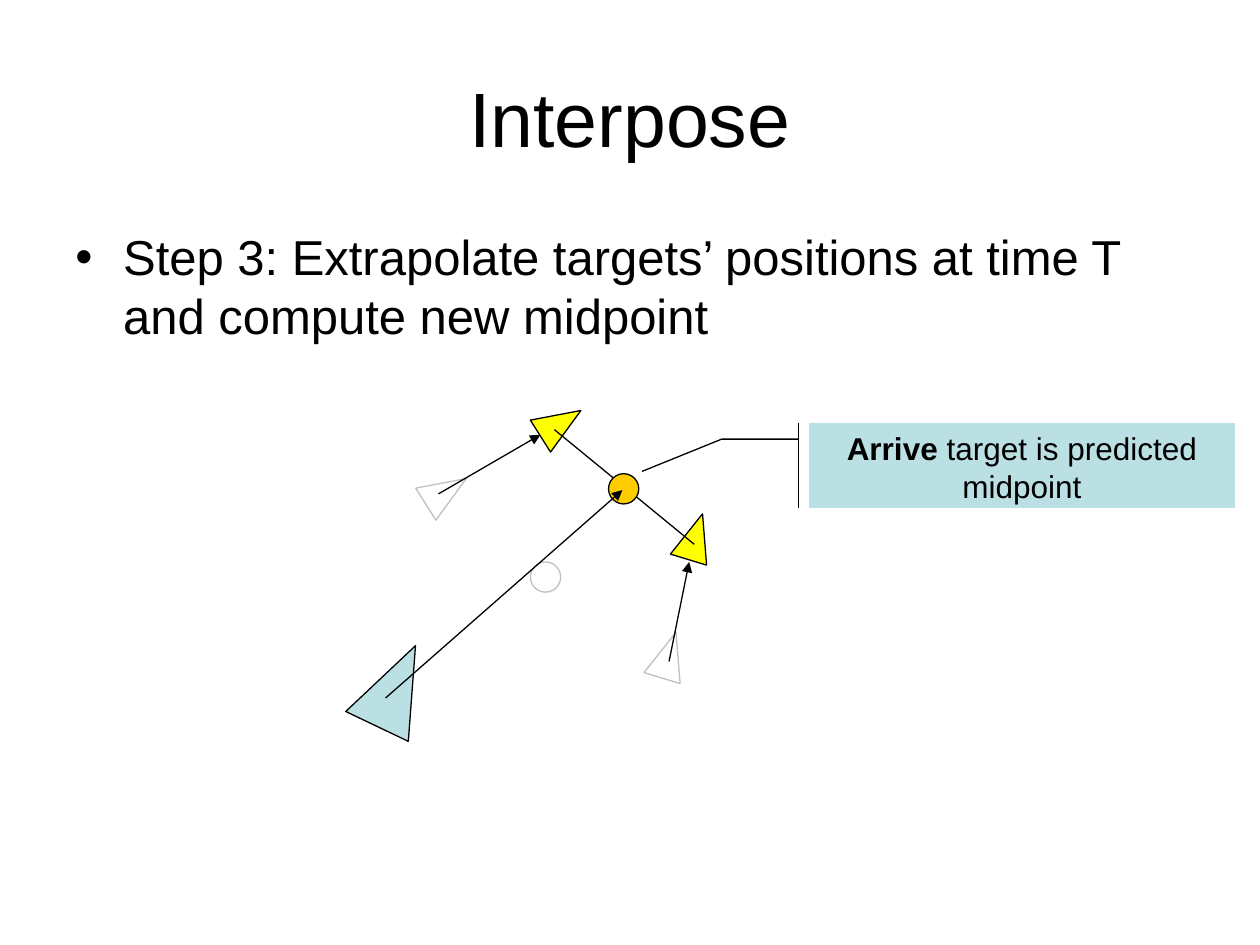
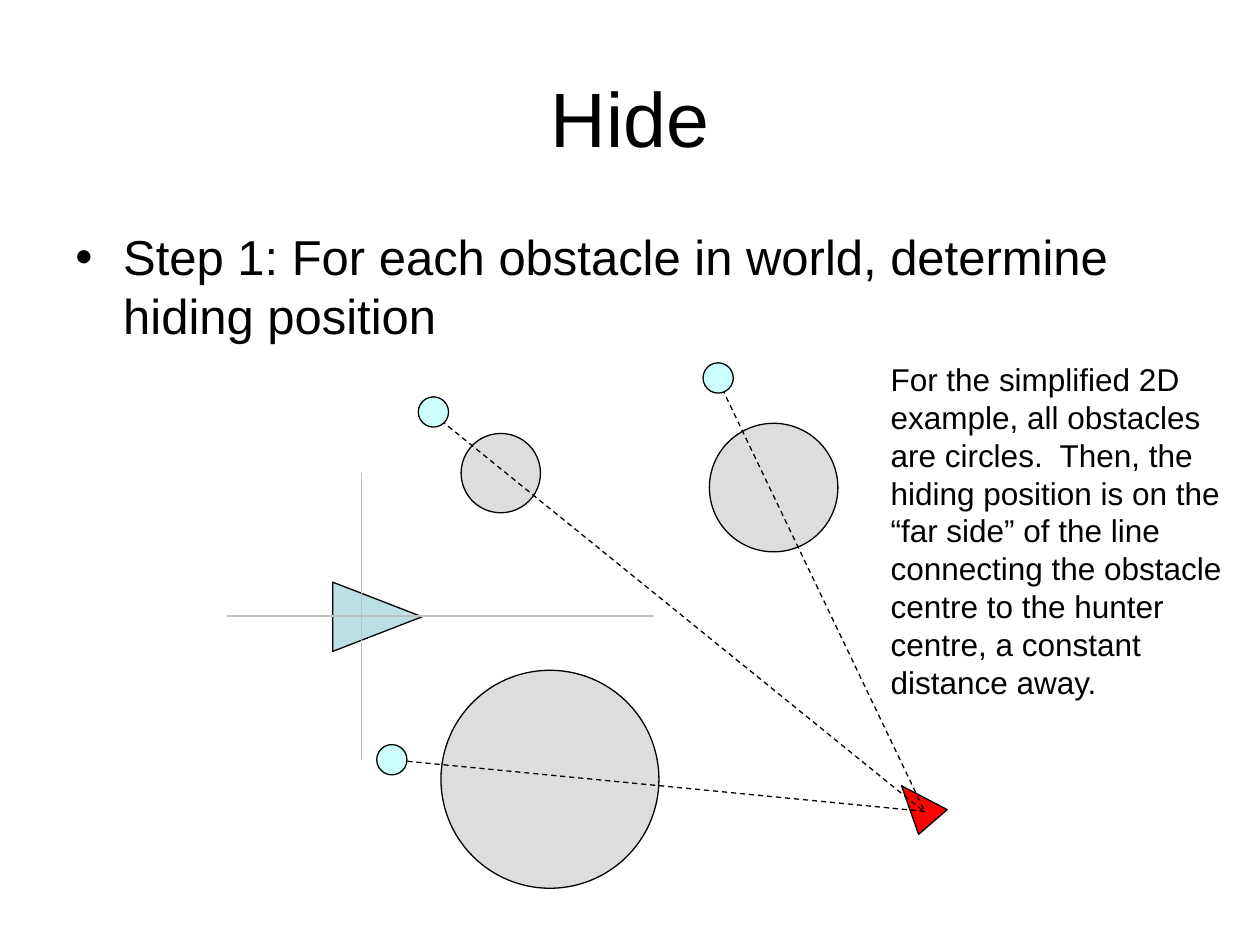
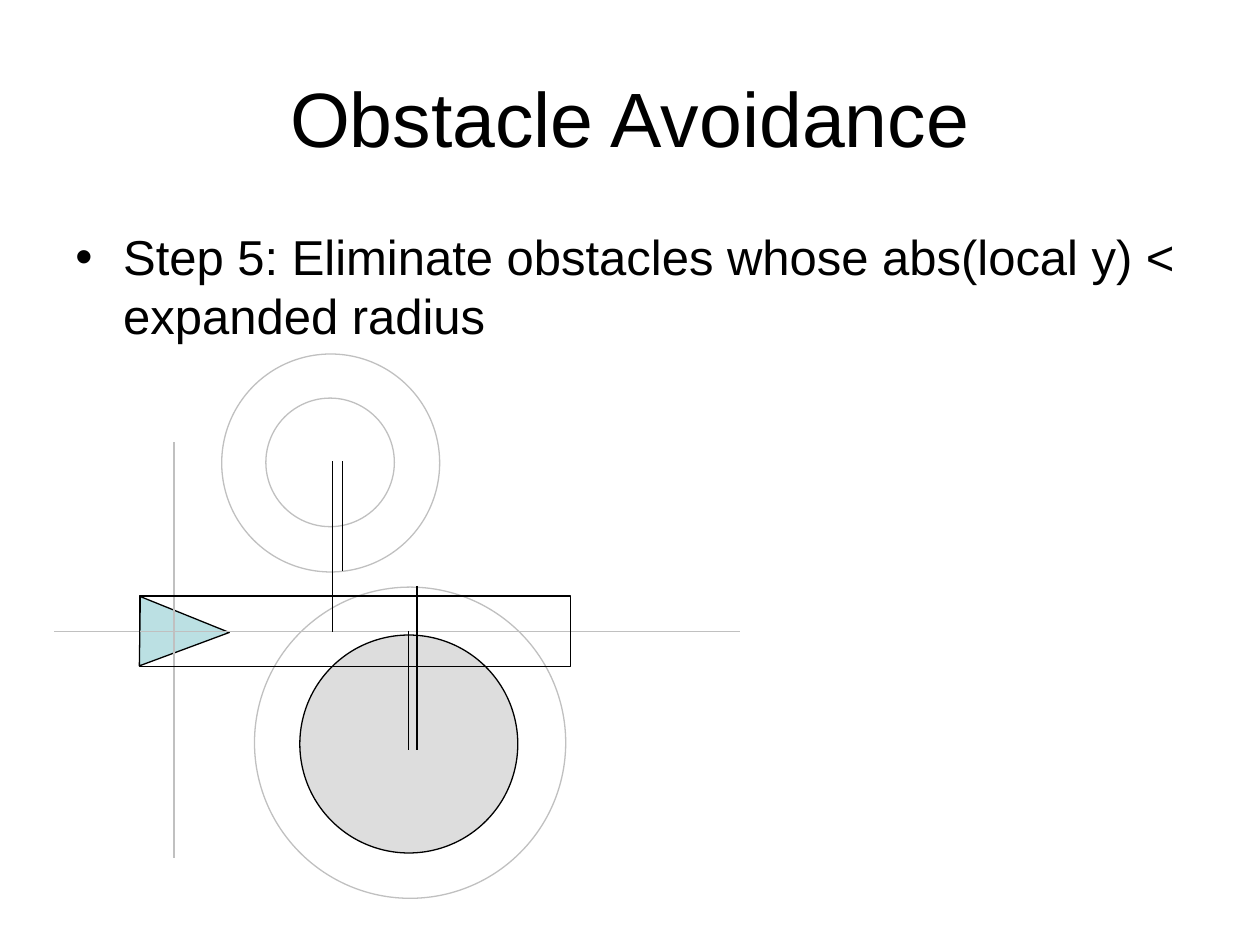
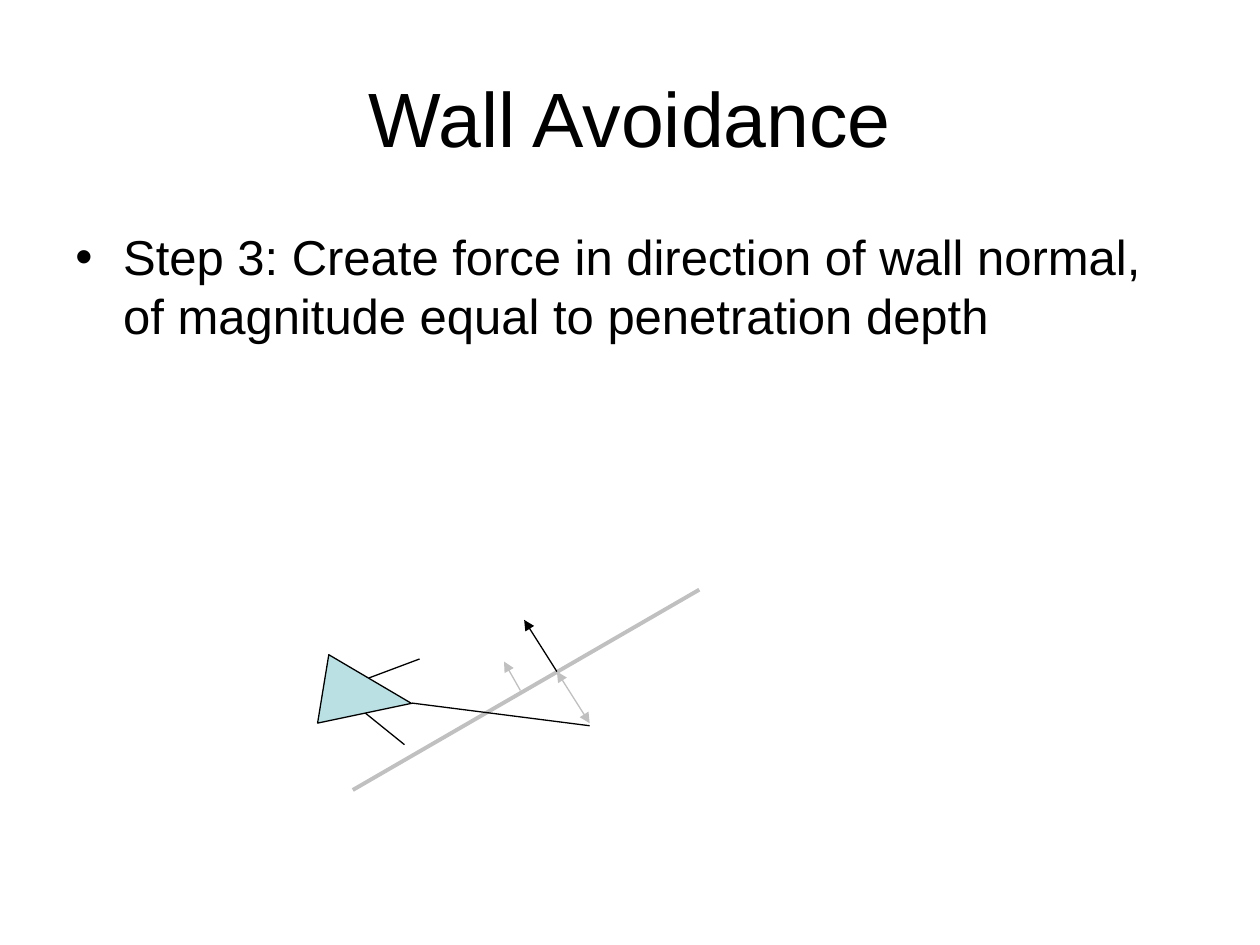
from dataclasses import dataclass

from pptx import Presentation
from pptx.dml.color import RGBColor
from pptx.enum.dml import MSO_LINE_DASH_STYLE as Dash
from pptx.enum.shapes import MSO_CONNECTOR as Connector, MSO_SHAPE as Shape
from pptx.enum.text import MSO_ANCHOR as Anchor, MSO_AUTO_SIZE as AutoSize, PP_ALIGN as Align
from pptx.oxml.ns import qn
from pptx.util import Inches, Pt
from lxml.etree import SubElement


@dataclass(frozen=True)
class Theme:
    font: str = "Arial"
    title_size: int = 44
    body_size: int = 28
    note_size: int = 18
    thin: float = 0.75
    thick: float = 2.25
    black: str = "000000"
    white: str = "FFFFFF"
    ghost: str = "C0C0C0"
    agent: str = "BBE0E3"
    target: str = "FFFF00"
    midpoint: str = "FFCC00"
    hunter: str = "FF0000"
    obstacle: str = "DDDDDD"
    hiding_spot: str = "CCFFFF"


THEME = Theme()
AGENT_SIZE = (0.55, 0.71)
MARKER_SIZE = (0.3, 0.38)
DOT = 0.24
TITLE_BOX = (0.5, 0.3, 9, 1.25)
BODY_BOX = (0.5, 1.75, 9, 4.95)


# Formatting helpers
def set_values(item, values):
    for name, value in values.items():
        setattr(item, name, value)


def move(shape, box):
    names = ("left", "top", "width", "height")
    set_values(shape, dict(zip(names, map(Inches, box))))


def add_text(paragraph, text, size, bold=False):
    run = paragraph.add_run()
    run.text = text
    set_values(run.font, {"name": THEME.font, "size": Pt(size), "bold": bold})
    run.font.color.rgb = RGBColor.from_string(THEME.black)


def space_before(paragraph, percent):
    spacing = SubElement(paragraph._p.get_or_add_pPr(), qn("a:spcBef"))
    SubElement(spacing, qn("a:spcPct"), val=str(percent * 1000))


def add_bullet(paragraph, indent):
    properties = paragraph._p.get_or_add_pPr()
    properties.set("marL", str(Inches(indent)))
    properties.set("indent", str(-Inches(indent)))
    SubElement(properties, qn("a:buFont"), typeface=THEME.font)
    SubElement(properties, qn("a:buChar"), char="•")


class Diagram:
    """Draws on a shape collection, measuring from the box's top left corner."""

    def __init__(self, shapes, left, top):
        self.shapes, self.left, self.top = shapes, left, top

    def group(self):
        return Diagram(self.shapes.add_group_shape().shapes, self.left, self.top)

    def place(self, x, y):
        return Inches(self.left + x), Inches(self.top + y)

    def shape(self, kind, x, y, size, fill=None, outline=THEME.black, rotation=0):
        shape = self.shapes.add_shape(kind, *self.place(x, y), *map(Inches, size))
        shape.shadow.inherit = False
        shape.rotation = rotation
        if fill:
            shape.fill.solid()
            shape.fill.fore_color.rgb = RGBColor.from_string(fill)
        else:
            shape.fill.background()
        shape.line.color.rgb = RGBColor.from_string(outline)
        shape.line.width = Pt(THEME.thin)
        return shape

    def triangle(self, x, y, size, rotation, fill, outline=THEME.black):
        return self.shape(Shape.ISOSCELES_TRIANGLE, x, y, size, fill, outline, rotation)

    def circle(self, x, y, diameter, fill=None, outline=THEME.black):
        return self.shape(Shape.OVAL, x, y, (diameter, diameter), fill, outline)

    def line(self, start, end, color=THEME.black, width=THEME.thin, dash=None, arrows=()):
        line = self.shapes.add_connector(
            Connector.STRAIGHT, *self.place(*start), *self.place(*end))
        line.line.color.rgb = RGBColor.from_string(color)
        set_values(line.line, {"width": Pt(width), "dash_style": dash})
        for arrow in arrows:
            SubElement(line.line._ln, qn(f"a:{arrow}"), type="triangle")
        SubElement(line._element.spPr, qn("a:effectLst"))

    def axes(self, x, y, across, down):
        self.line((x, down[0]), (x, down[1]), THEME.ghost)
        self.line((across[0], y), (across[1], y), THEME.ghost)


# Title and step shared by all slides
def add_step_slide(presentation, title, step):
    slide = presentation.slides.add_slide(presentation.slide_layouts[5])
    heading = slide.shapes.title
    move(heading, TITLE_BOX)
    heading.text_frame.vertical_anchor = Anchor.MIDDLE
    paragraph = heading.text_frame.paragraphs[0]
    paragraph.alignment = Align.CENTER
    add_text(paragraph, title, THEME.title_size)

    body = slide.shapes.add_textbox(*map(Inches, BODY_BOX))
    body.text_frame.word_wrap = True
    paragraph = body.text_frame.paragraphs[0]
    space_before(paragraph, 20)
    add_bullet(paragraph, 0.38)
    add_text(paragraph, step, THEME.body_size)
    return slide


def draw_interpose(diagram):
    diagram.triangle(0.37, 2.09, AGENT_SIZE, 25.5, THEME.agent)

    # Targets now (outlined) and at time T (yellow)
    targets = [
        ((2.66, 2.01), (2.87, 1.07), 17, (2.81, 2.25), (2.97, 1.46)),
        ((0.89, 0.71), (1.8, 0.17), 57.7, (0.98, 0.92), (1.79, 0.45)),
    ]
    for now, later, rotation, start, end in targets:
        diagram.triangle(*now, MARKER_SIZE, rotation, THEME.white, THEME.ghost)
        diagram.line(start, end, arrows=["tailEnd"])
        diagram.triangle(*later, MARKER_SIZE, rotation, THEME.target)

    # Midpoints and the path to the predicted one
    diagram.circle(1.71, 1.46, DOT, THEME.white, THEME.ghost)
    diagram.line((1.9, 0.41), (3.01, 1.32))
    diagram.circle(2.33, 0.76, DOT, THEME.midpoint)
    diagram.line((0.56, 2.54), (2.44, 0.89), arrows=["tailEnd"])

    # Callout
    callout = diagram.shape(
        Shape.LINE_CALLOUT_2_ACCENT_BAR, 3.92, 0.36, (3.38, 0.67), THEME.agent)
    for index, value in enumerate((0.188, -0.025, 0.188, -0.205, 0.57, -0.392)):
        callout.adjustments[index] = value
    set_values(callout.text_frame, {"word_wrap": True, "vertical_anchor": Anchor.TOP})
    paragraph = callout.text_frame.paragraphs[0]
    paragraph.alignment = Align.CENTER
    add_text(paragraph, "Arrive", THEME.note_size, bold=True)
    add_text(paragraph, " target is predicted midpoint", THEME.note_size)


def draw_hide(diagram):
    diagram.triangle(0.92, 1.74, AGENT_SIZE, 90, THEME.agent)
    diagram.axes(1.07, 2.09, across=(0, 3.39), down=(0.95, 3.23))
    diagram.triangle(5.33, 3.39, MARKER_SIZE, 319.1, THEME.hunter)

    # Obstacles, then lines from hunter to hiding spots
    for obstacle in [(1.7, 2.52, 1.73), (1.86, 0.64, 0.63), (3.83, 0.56, 1.02)]:
        diagram.circle(*obstacle, THEME.obstacle)
    sight_lines = [
        ((5.54, 3.64), (1.31, 3.23)),
        ((5.52, 3.63), (1.63, 0.48)),
        ((5.53, 3.62), (3.91, 0.24)),
    ]
    for hunter, spot in sight_lines:
        diagram.line(hunter, spot, dash=Dash.DASH)
    for spot in [(1.52, 0.35), (3.78, 0.08), (1.19, 3.11)]:
        diagram.circle(*spot, DOT, THEME.hiding_spot)

    # Explanation
    note = diagram.shapes.add_textbox(
        *diagram.place(5.17, 0.01), Inches(2.84), Inches(2.8))
    set_values(note.text_frame, {"word_wrap": True, "auto_size": AutoSize.SHAPE_TO_FIT_TEXT})
    paragraph = note.text_frame.paragraphs[0]
    space_before(paragraph, 50)
    add_text(
        paragraph,
        "For the simplified 2D example, all obstacles are circles.  Then, the hiding "
        "position is on the “far side” of the line connecting the obstacle centre to "
        "the hunter centre, a constant distance away.",
        THEME.note_size)


def draw_obstacle_avoidance(diagram):
    diagram.triangle(0.79, 1.91, AGENT_SIZE, 90.8, THEME.agent)
    diagram.axes(0.98, 2.26, across=(0.03, 5.47), down=(0.76, 4.06))

    # Eliminated obstacle, expanded radii and remaining obstacle
    for ring in [(1.36, 0.06, 1.73), (1.71, 0.41, 1.02), (1.62, 1.91, 2.47)]:
        diagram.circle(*ring, outline=THEME.ghost)
    diagram.circle(1.98, 2.29, 1.73, THEME.obstacle)

    # Detection box, and local y beside each expanded radius
    diagram.shape(Shape.RECTANGLE, 0.71, 1.98, (3.42, 0.56))
    for x, top, bottom in [(2.24, 0.91, 2.27), (2.32, 0.91, 1.78),
                           (2.84, 2.26, 3.2), (2.91, 1.9, 3.2)]:
        diagram.line((x, top), (x, bottom))


def draw_wall_avoidance(diagram):
    # Wall and its normal
    diagram.line((0.3, 1.77), (3.05, 0.18), THEME.ghost, THEME.thick)
    diagram.line((1.63, 0.98), (1.5, 0.75), THEME.ghost, arrows=["tailEnd"])

    # Agent with side feelers
    agent = diagram.group()
    agent.triangle(0.14, 0.67, AGENT_SIZE, 99.3, THEME.agent)
    agent.line((0.4, 1.16), (0.71, 1.41))
    agent.line((0.83, 0.73), (0.43, 0.88))

    # Front feeler, penetration depth and force
    diagram.line((0.77, 1.08), (2.18, 1.26))
    diagram.line((1.92, 0.83), (2.18, 1.24), THEME.ghost, arrows=["headEnd", "tailEnd"])
    diagram.line((1.66, 0.42), (1.92, 0.83), arrows=["headEnd"])


# Title, step, drawing and the drawing's top left corner, clear of the step text
SLIDES = [
    ("Interpose",
     "Step 3: Extrapolate targets’ positions at time T and compute new midpoint",
     draw_interpose, (2.5, 3)),
    ("Hide",
     "Step 1: For each obstacle in world, determine hiding position",
     draw_hide, (1.8, 2.8)),
    ("Obstacle Avoidance",
     "Step 5: Eliminate obstacles whose abs(local y) < expanded radius",
     draw_obstacle_avoidance, (0.4, 2.75)),
    ("Wall Avoidance",
     "Step 3: Create force in direction of wall normal, of magnitude equal to "
     "penetration depth",
     draw_wall_avoidance, (2.5, 4.5)),
]


def main():
    presentation = Presentation()
    set_values(presentation, {"slide_width": Inches(10), "slide_height": Inches(7.5)})
    for title, step, draw, corner in SLIDES:
        slide = add_step_slide(presentation, title, step)
        draw(Diagram(slide.shapes, *corner))
    presentation.save("out.pptx")


if __name__ == "__main__":
    main()
